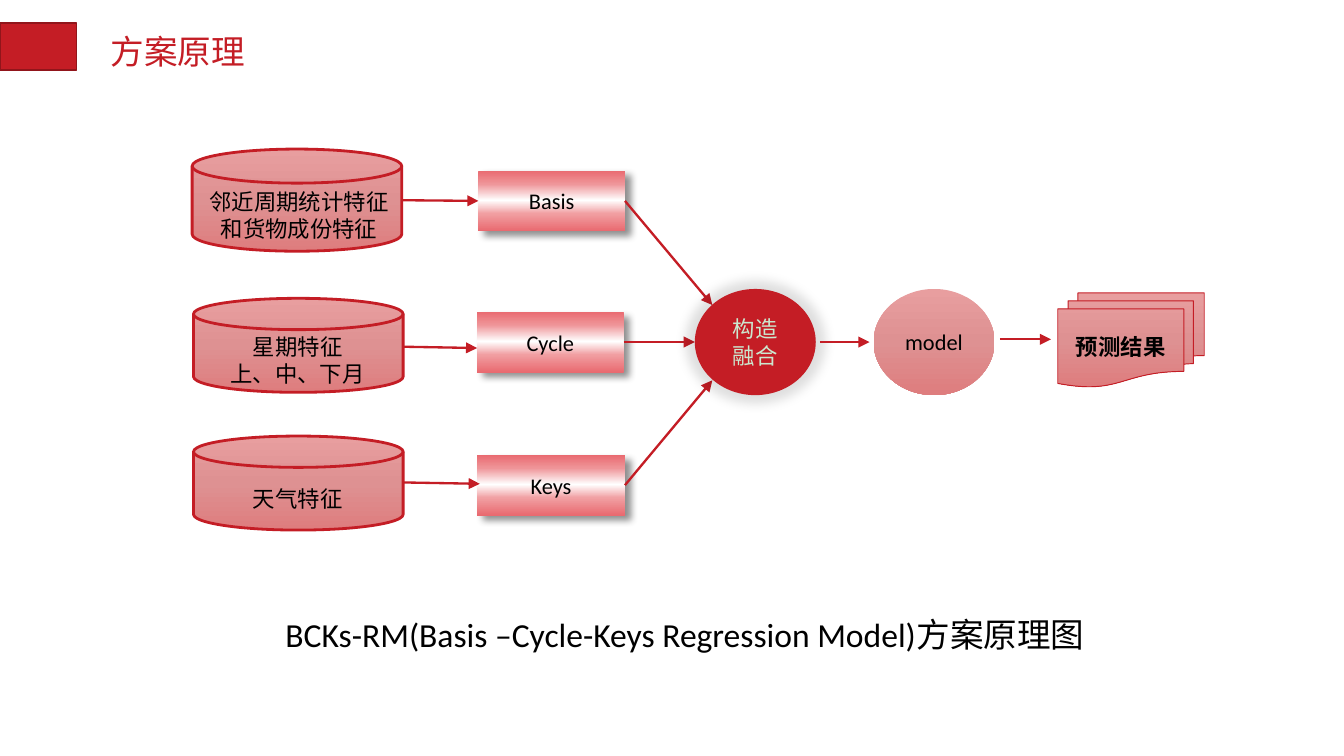
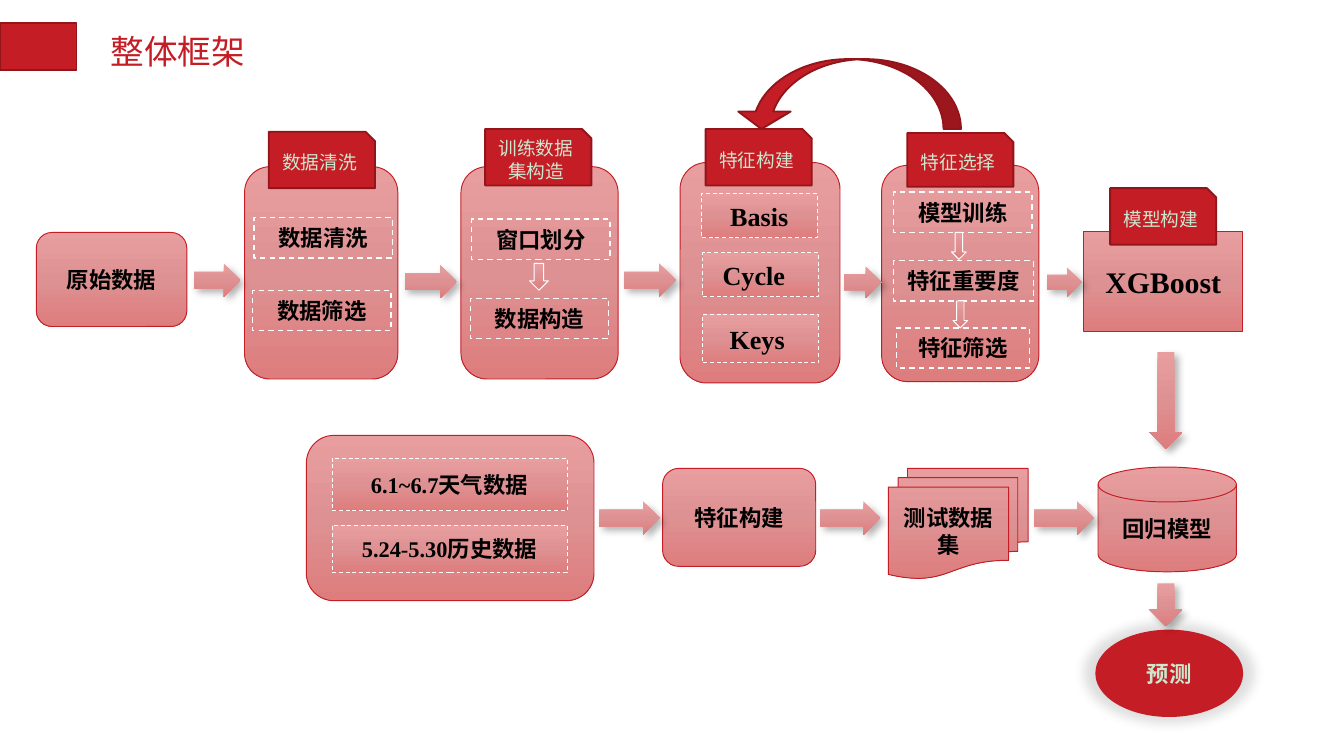
from lxml import etree
from pptx import Presentation
from pptx.dml.color import RGBColor
from pptx.enum.dml import MSO_LINE
from pptx.enum.shapes import MSO_CONNECTOR, MSO_SHAPE
from pptx.enum.text import MSO_ANCHOR, PP_ALIGN
from pptx.oxml.ns import qn
from pptx.util import Emu, Inches, Pt

RECT = MSO_SHAPE.RECTANGLE
ROUND = MSO_SHAPE.ROUNDED_RECTANGLE
OVAL = MSO_SHAPE.OVAL
TAB = MSO_SHAPE.SNIP_1_RECTANGLE
DISK = MSO_SHAPE.FLOWCHART_MAGNETIC_DISK
DOCUMENTS = MSO_SHAPE.FLOWCHART_MULTIDOCUMENT
RIGHT = MSO_SHAPE.RIGHT_ARROW
DOWN = MSO_SHAPE.DOWN_ARROW
LOOP = MSO_SHAPE.CURVED_UP_ARROW
STRAIGHT = MSO_CONNECTOR.STRAIGHT
DASH = MSO_LINE.DASH
CENTER, LEFT = PP_ALIGN.CENTER, PP_ALIGN.LEFT
MIDDLE = MSO_ANCHOR.MIDDLE

SLIDE_WIDTH = Inches(10)
SLIDE_HEIGHT = Emu(SLIDE_WIDTH * 9 // 16)
COLUMNS = 100
CELL = SLIDE_WIDTH // COLUMNS
RED, DARK_RED, PALE = "C41D25", "91151B", "CCE8CF"
WHITE, BLACK = "FFFFFF", "000000"
SANS, SERIF, CJK = "Calibri", "Times New Roman", "Noto Sans CJK SC"
ROSE = [(0, "E89E9F"), (50, "DE9192"), (100, "DE7D7E")]
SHINE = [(0, "E96A70"), (22, "EF9599"), (49, WHITE), (71, "F19FA2"), (100, "E96A70")]
RED_EDGE, TAB_EDGE = (RED, 0.5), (DARK_RED, 1)
DASH_EDGE = (WHITE, 0.75, DASH)
CAST = dict(alpha=43, blur=4, dist=4, angle=40)
ARROW_CAST = dict(alpha=30, blur=4, dist=3, angle=45)
HALO = dict(alpha=12, blur=6, dist=0, angle=0, scale=115)
BOLD = dict(bold=True)
SERIF_BOLD = dict(name=SERIF, bold=True, size=14)


def rgb(value):
    return RGBColor.from_string(value)


def cells(*lengths):
    return [Emu(round(length * CELL)) for length in lengths]


def inside(box, part):
    return (box[0] + part[0], box[1] + part[1], *part[2:])


def middle_right(box):
    return box[0] + box[2], box[1] + box[3] / 2


def add_color(parent, color, alpha=None):
    node = etree.SubElement(parent, qn("a:srgbClr"), val=color)
    if alpha is not None:
        etree.SubElement(node, qn("a:alpha"), val=str(alpha * 1000))


def write(shape, text, color=BLACK, align=CENTER, wrap=True, side=None, **font):
    frame = shape.text_frame
    frame.text = text
    layout = dict(word_wrap=wrap, vertical_anchor=MIDDLE)
    if side:
        layout.update(margin_left=Inches(side[0]), margin_right=Inches(side[1]))
    for key, value in layout.items():
        setattr(frame, key, value)
    style = dict(name=SANS, size=12, bold=False) | font
    style["size"] = Pt(style["size"])
    for paragraph in frame.paragraphs:
        paragraph.alignment = align
        for run in paragraph.runs:
            for key, value in style.items():
                setattr(run.font, key, value)
            run.font.color.rgb = rgb(color)
            etree.SubElement(run.font._element, qn("a:ea"), typeface=CJK)


def paint_gradient(shape, stops):
    shape.fill.gradient()
    shape.fill.gradient_angle = 270
    stop_list = shape._element.spPr.find(qn("a:gradFill")).find(qn("a:gsLst"))
    for stop in list(stop_list):
        stop_list.remove(stop)
    for position, color in stops:
        add_color(etree.SubElement(stop_list, qn("a:gs"), pos=str(position * 1000)), color)


def cast_shadow(shape, alpha, blur, dist, angle, scale=100):
    effects = shape._element.spPr.find(qn("a:effectLst"))
    values = dict(blurRad=Pt(blur), dist=Pt(dist), dir=angle * 60000,
                  sx=scale * 1000, sy=scale * 1000)
    shadow = etree.SubElement(effects, qn("a:outerShdw"), algn="ctr", rotWithShape="0",
                              **{key: str(int(value)) for key, value in values.items()})
    add_color(shadow, BLACK, alpha)


def block(slide, kind, box, fill=ROSE, edge=None, text=None, cast=None, **style):
    shape = slide.shapes.add_shape(kind, *cells(*box))
    shape.shadow.inherit = False
    if isinstance(fill, list):
        paint_gradient(shape, fill)
    elif fill:
        shape.fill.solid()
        shape.fill.fore_color.rgb = rgb(fill)
    else:
        shape.fill.background()
    if edge:
        color, width, *dash = edge
        shape.line.color.rgb = rgb(color)
        shape.line.width = Pt(width)
        if dash:
            shape.line.dash_style = dash[0]
    else:
        shape.line.fill.background()
    if cast:
        cast_shadow(shape, **cast)
    if text:
        write(shape, text, **style)
    return shape


def label(slide, box, text, **style):
    write(slide.shapes.add_textbox(*cells(*box)), text, **style)


def link(slide, start, end, source=None, target=None):
    line = slide.shapes.add_connector(STRAIGHT, *cells(*start, *end))
    if source:
        line.begin_connect(source, 3)
    if target:
        line.end_connect(target, 1)
    line.line.color.rgb = rgb(RED)
    line.line.width = Pt(1.25)
    properties = line._element.spPr
    etree.SubElement(properties.find(qn("a:ln")), qn("a:tailEnd"), type="triangle")
    etree.SubElement(properties, qn("a:effectLst"))


def new_slide(deck, title):
    slide = deck.slides.add_slide(deck.slide_layouts[6])
    slide.background.fill.solid()
    slide.background.fill.fore_color.rgb = rgb(WHITE)
    block(slide, RECT, (0, 1.74, 5.7, 3.5), RED, TAB_EDGE)
    label(slide, (7.25, 1.8, 12.4, 4), title, color=RED, align=LEFT, wrap=False,
          name=CJK, size=18)
    return slide


def feature_source(slide, disk, caption, caption_part, name, name_box, tip, joined, fusion_tip):
    block(slide, DISK, disk, edge=(RED, 1.5))
    label(slide, inside(disk, caption_part), caption)
    factor = block(slide, RECT, name_box, SHINE, text=name, cast=CAST)
    link(slide, (disk[0] + disk[2], tip[1] - 0.1), tip, target=factor if joined else None)
    link(slide, middle_right(name_box), fusion_tip, source=factor)


def fusion_chain(slide, box):
    block(slide, OVAL, inside(box, (0, 0, 9, 7.9)), RED, text="构造融合", cast=HALO, color=PALE)
    block(slide, OVAL, inside(box, (13.3, 0, 9, 7.9)), text="model", side=(0.05, 0.05))
    block(slide, DOCUMENTS, inside(box, (27, 0.3, 10.9, 7)), edge=RED_EDGE,
          text="预测结果", **BOLD)
    for start, end, level in [(9.3, 13, 3.95), (22.7, 26.5, 3.75)]:
        link(slide, inside(box, (start, level)), inside(box, (end, level)))


def principle_slide(deck):
    slide = new_slide(deck, "方案原理")
    feature_source(slide, (14.3, 11.1, 15.6, 7.6), "邻近周期统计特征\n和货物成份特征",
                   (-4.4, 2.4, 24.7, 5), "Basis", (35.6, 12.7, 10.9, 4.5),
                   (35.6, 15), True, (53, 22.7))
    feature_source(slide, (14.4, 22.2, 15.6, 7), "星期特征\n上、中、下月",
                   (-4.6, 2.1, 24.7, 5), "Cycle", (35.5, 23.2, 10.9, 4.5),
                   (35.5, 25.9), False, (51.7, 25.45))
    feature_source(slide, (14.4, 32.45, 15.6, 7), "天气特征",
                   (-4.6, 3.15, 24.7, 3), "Keys", (35.5, 33.85, 11, 4.5),
                   (35.7, 36), False, (53, 28.3))
    fusion_chain(slide, (51.7, 21.5))
    label(slide, (20.25, 45.15, 62.8, 4), "BCKs-RM(Basis –Cycle-Keys Regression Model)方案原理图",
          align=LEFT, wrap=False, size=18)


def tab(slide, box, text):
    block(slide, TAB, box, RED, TAB_EDGE, text, color=PALE, size=10, side=(0.08, 0.08))


def stage(slide, box, title, tab_part, steps, arrows=()):
    block(slide, ROUND, box, edge=RED_EDGE)
    tab(slide, inside(box, tab_part), title)
    for text, part in steps:
        block(slide, RECT, inside(box, part), None, DASH_EDGE, text, side=(0.05, 0.05), **BOLD)
    for part in arrows:
        block(slide, DOWN, inside(box, part), edge=(WHITE, 0.5))


def dashed_items(slide, box, items, **style):
    for text, part, pad in items:
        block(slide, RECT, inside(box, part), ROSE, (WHITE, 0.5, DASH), text,
              side=(0.1, pad), **style)


def training_row(slide):
    block(slide, ROUND, (2.7, 17.3, 11.2, 7), edge=RED_EDGE, text="原始数据", **BOLD)
    stage(slide, (18.2, 12.4, 11.4, 15.8), "数据清洗", (1.8, -2.6, 7.9, 4.2),
          [("数据清洗", (0.7, 3.8, 10.3, 3)), ("数据筛选", (0.6, 9.2, 10.3, 3))])
    stage(slide, (34.3, 12.4, 11.7, 15.8), "训练数据集构造", (1.8, -2.8, 7.9, 4.2),
          [("窗口划分", (0.8, 3.9, 10.3, 3)), ("数据构造", (0.7, 9.8, 10.3, 3))],
          [(5.1, 7.2, 1.4, 2)])
    features = (50.6, 12.1, 11.9, 16.4)
    stage(slide, features, "特征构建", (1.9, -2.5, 7.9, 4.2), [])
    dashed_items(slide, features, [("Basis", (1.6, 2.3, 8.6, 3.3), 0.1),
                                   ("Cycle", (1.7, 6.7, 8.6, 3.3), 0.2),
                                   ("Keys", (1.7, 11.3, 8.6, 3.6), 0.15)], **SERIF_BOLD)
    stage(slide, (65.6, 12.3, 11.7, 16.1), "特征选择", (1.9, -2.4, 7.9, 4),
          [("模型训练", (0.9, 2, 10.3, 3)), ("特征重要度", (0.9, 7.1, 10.4, 3)),
           ("特征筛选", (1.1, 12.1, 9.9, 3))],
          [(5.2, 5, 1.1, 2), (5.3, 10.1, 1.1, 2)])
    block(slide, RECT, (80.65, 17.2, 11.8, 7.5), edge=RED_EDGE, text="XGBoost",
          **SERIF_BOLD | dict(size=16))
    tab(slide, (82.6, 14, 7.9, 4.2), "模型构建")
    feedback = block(slide, LOOP, (54.7, 4.4, 16.8, 5.2), RED, TAB_EDGE)
    feedback.rotation = 180
    for index, share in enumerate((0.25, 0.75, 0.25)):
        feedback.adjustments[index] = share


def prediction_row(slide):
    inputs = (22.8, 32.4, 21.4, 12.3)
    block(slide, ROUND, inputs, edge=RED_EDGE)
    dashed_items(slide, inputs, [("6.1~6.7天气数据", (1.9, 1.7, 17.5, 3.9), 0.1),
                                 ("5.24-5.30历史数据", (1.9, 6.7, 17.5, 3.5), 0.1)],
                 **SERIF_BOLD | dict(size=12))
    for kind, box, text in [(ROUND, (49.3, 34.85, 11.4, 7.3), "特征构建"),
                            (DOCUMENTS, (66.1, 34.85, 10.4, 8.2), "测试数据集"),
                            (DISK, (81.7, 34.75, 10.3, 7.8), "回归模型")]:
        block(slide, kind, box, edge=RED_EDGE, text=text, **BOLD)
    block(slide, OVAL, (81.5, 46.85, 11, 6.5), RED, text="预测", cast=HALO, color=PALE, **BOLD)


def flow_arrows(slide):
    top_row = [(14.4, 19.6, 3.5, 2.5), (30.1, 19.7, 3.9, 2.5), (46.4, 19.6, 3.9, 2.5),
               (62.8, 19.8, 2.8, 2.4), (77.9, 19.9, 2.6, 2.2)]
    lower_row = [(left, 37.3, 4.5, 2.5) for left in (44.6, 61, 76.9)]
    for box in top_row + lower_row:
        block(slide, RIGHT, box, cast=ARROW_CAST)
    for top, height in [(26.2, 7.2), (43.4, 3.2)]:
        block(slide, DOWN, (85.5, top, 2.5, height), cast=ARROW_CAST)


def framework_slide(deck):
    slide = new_slide(deck, "整体框架")
    training_row(slide)
    prediction_row(slide)
    flow_arrows(slide)


def main():
    deck = Presentation()
    deck.slide_width = SLIDE_WIDTH
    deck.slide_height = SLIDE_HEIGHT
    principle_slide(deck)
    framework_slide(deck)
    deck.save("out.pptx")


if __name__ == "__main__":
    main()
